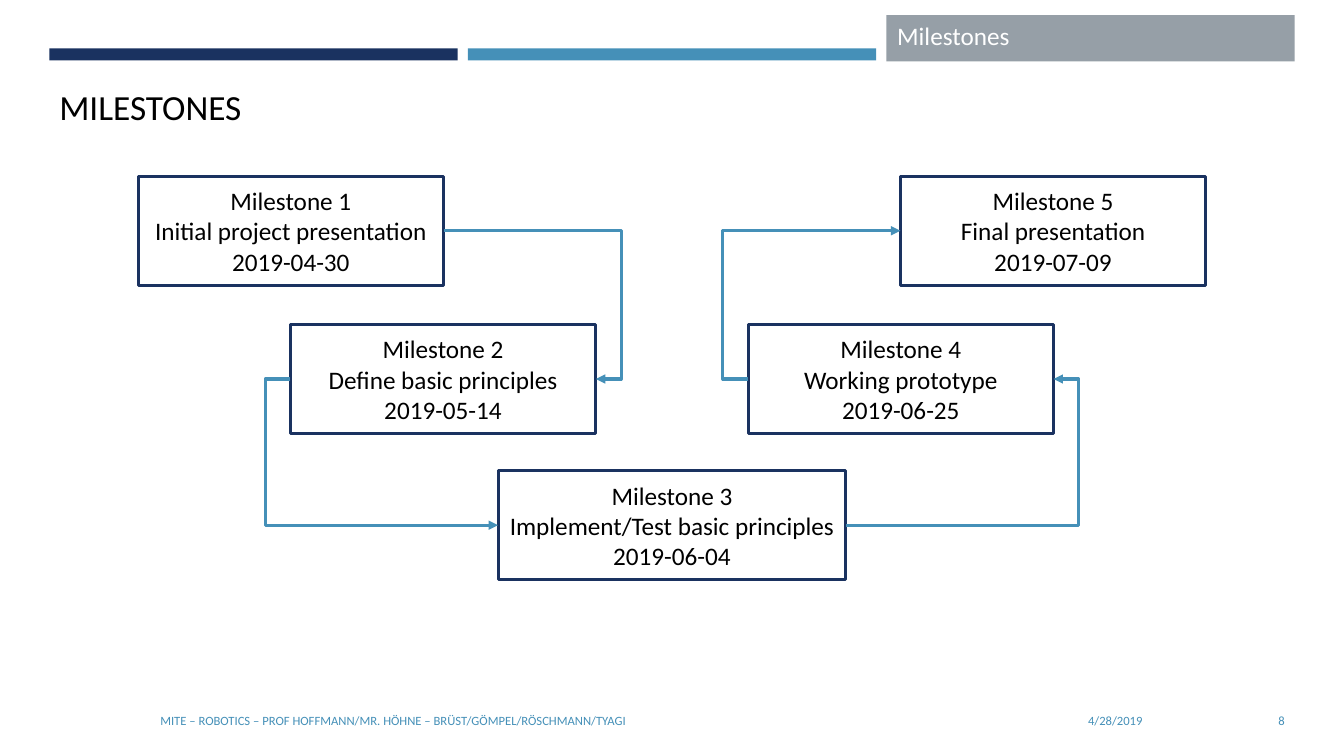
from dataclasses import dataclass

from lxml import etree
from pptx import Presentation
from pptx.dml.color import RGBColor
from pptx.enum.shapes import MSO_CONNECTOR, MSO_SHAPE
from pptx.enum.text import MSO_ANCHOR, PP_ALIGN
from pptx.oxml.ns import qn
from pptx.util import Emu, Pt

RECTANGLE = MSO_SHAPE.RECTANGLE
ELBOW = MSO_CONNECTOR.ELBOW
TOP, MIDDLE, BOTTOM = MSO_ANCHOR.TOP, MSO_ANCHOR.MIDDLE, MSO_ANCHOR.BOTTOM
LEFT, CENTER, RIGHT = PP_ALIGN.LEFT, PP_ALIGN.CENTER, PP_ALIGN.RIGHT

EMU_PER_PX = 9144
FONT = "Calibri"
NAVY, BLUE, GRAY = "1A3260", "4590B8", "969FA7"
BLACK, WHITE = "000000", "FFFFFF"
OUTLINE_PT = 2.25
MILESTONE_HEIGHT = 108
LANE_OFFSET = 25
LEFT_SIDE, RIGHT_SIDE = 1, 3


@dataclass(frozen=True)
class Bar:
    left: int
    top: int
    height: int
    color: str
    width: int = 405


@dataclass(frozen=True)
class Label:
    text: str
    left: int
    top: int
    width: int
    height: int
    size: float
    color: str
    anchor: MSO_ANCHOR = MIDDLE
    align: PP_ALIGN = LEFT
    inset: int = 10


@dataclass(frozen=True)
class Milestone:
    left: int
    top: int
    goal: str
    date: str
    width: int = 303


BARS = [
    Bar(49, 48, 12, NAVY),
    Bar(464, 48, 12, BLUE),
    Bar(879, 15, 46, GRAY),
]

LABELS = [
    Label("MILESTONES", 49, 77, 1236, 54, 25.2, BLACK, BOTTOM),
    Label("4/28/2019", 832, 695, 311, 40, 9, BLUE, align=RIGHT),
    Label("MITE – ROBOTICS – PROF HOFFMANN/MR. HÖHNE – BRÜST/GÖMPEL/RÖSCHMANN/TYAGI",
          49, 695, 756, 40, 9, BLUE, inset=110),
    Label("8", 1169, 695, 115, 40, 9, BLUE, align=RIGHT),
    Label("Milestones", 880, 15, 405, 44, 18, WHITE, TOP),
]

MILESTONES = [
    Milestone(137, 175, "Initial project presentation", "2019-04-30"),
    Milestone(288, 322, "Deﬁne basic principles", "2019-05-14"),
    Milestone(494, 467, "Implement/Test basic principles", "2019-06-04", 345),
    Milestone(742, 322, "Working prototype", "2019-06-25"),
    Milestone(893, 175, "Final presentation", "2019-07-09"),
]

STEP_SIDES = [RIGHT_SIDE, LEFT_SIDE, RIGHT_SIDE, LEFT_SIDE]


def px(length: int) -> Emu:
    return Emu(length * EMU_PER_PX)


def rgb(color: str) -> RGBColor:
    return RGBColor.from_string(color)


def apply_format(target, values: dict) -> None:
    for attribute, value in values.items():
        setattr(target, attribute, value)


def write_lines(frame, lines: list[str], size: float, color: str, align: PP_ALIGN) -> None:
    frame.text = "\n".join(lines)
    for paragraph in frame.paragraphs:
        paragraph.alignment = align
        apply_format(paragraph.font, {"name": FONT, "size": Pt(size)})
        paragraph.font.color.rgb = rgb(color)


def draw_bar(slide, bar: Bar) -> None:
    band = slide.shapes.add_shape(
        RECTANGLE, px(bar.left), px(bar.top), px(bar.width), px(bar.height))
    band.shadow.inherit = False
    band.fill.solid()
    band.fill.fore_color.rgb = rgb(bar.color)
    band.line.fill.background()


def draw_label(slide, label: Label) -> None:
    frame = slide.shapes.add_textbox(
        px(label.left), px(label.top), px(label.width), px(label.height)).text_frame
    apply_format(frame, {
        "word_wrap": True,
        "vertical_anchor": label.anchor,
        "margin_left": px(label.inset),
    })
    write_lines(frame, [label.text], label.size, label.color, label.align)


def draw_milestone(slide, number: int, milestone: Milestone):
    box = slide.shapes.add_shape(
        RECTANGLE, px(milestone.left), px(milestone.top),
        px(milestone.width), px(MILESTONE_HEIGHT))
    box.shadow.inherit = False
    box.fill.background()
    box.line.color.rgb = rgb(NAVY)
    box.line.width = Pt(OUTLINE_PT)
    apply_format(box.text_frame, {"word_wrap": True, "vertical_anchor": MIDDLE})
    lines = [f"Milestone {number}", milestone.goal, milestone.date]
    write_lines(box.text_frame, lines, 18, BLACK, CENTER)
    return box


def draw_step(slide, start, finish, side: int) -> None:
    step = slide.shapes.add_connector(ELBOW, 0, 0, 0, 0)
    step.begin_connect(start, side)
    step.end_connect(finish, side)
    step.line.color.rgb = rgb(BLUE)
    step.line.width = Pt(OUTLINE_PT)
    overshoot = px(LANE_OFFSET) / step.width
    bend = 1 + overshoot if side == RIGHT_SIDE else -overshoot
    properties = step._element.spPr
    guides = properties.find(qn("a:prstGeom")).get_or_add_avLst()
    etree.SubElement(guides, qn("a:gd"), name="adj1", fmla=f"val {round(bend * 100000)}")
    etree.SubElement(properties.find(qn("a:ln")), qn("a:tailEnd"), type="triangle")
    etree.SubElement(properties, qn("a:effectLst"))


def main() -> None:
    presentation = Presentation()
    apply_format(presentation, {"slide_width": px(1333), "slide_height": px(750)})
    slide = presentation.slides.add_slide(presentation.slide_layouts[6])
    for bar in BARS:
        draw_bar(slide, bar)
    for label in LABELS:
        draw_label(slide, label)
    boxes = [draw_milestone(slide, number, milestone)
             for number, milestone in enumerate(MILESTONES, start=1)]
    for start, finish, side in zip(boxes, boxes[1:], STEP_SIDES):
        draw_step(slide, start, finish, side)
    presentation.save("out.pptx")


if __name__ == "__main__":
    main()
